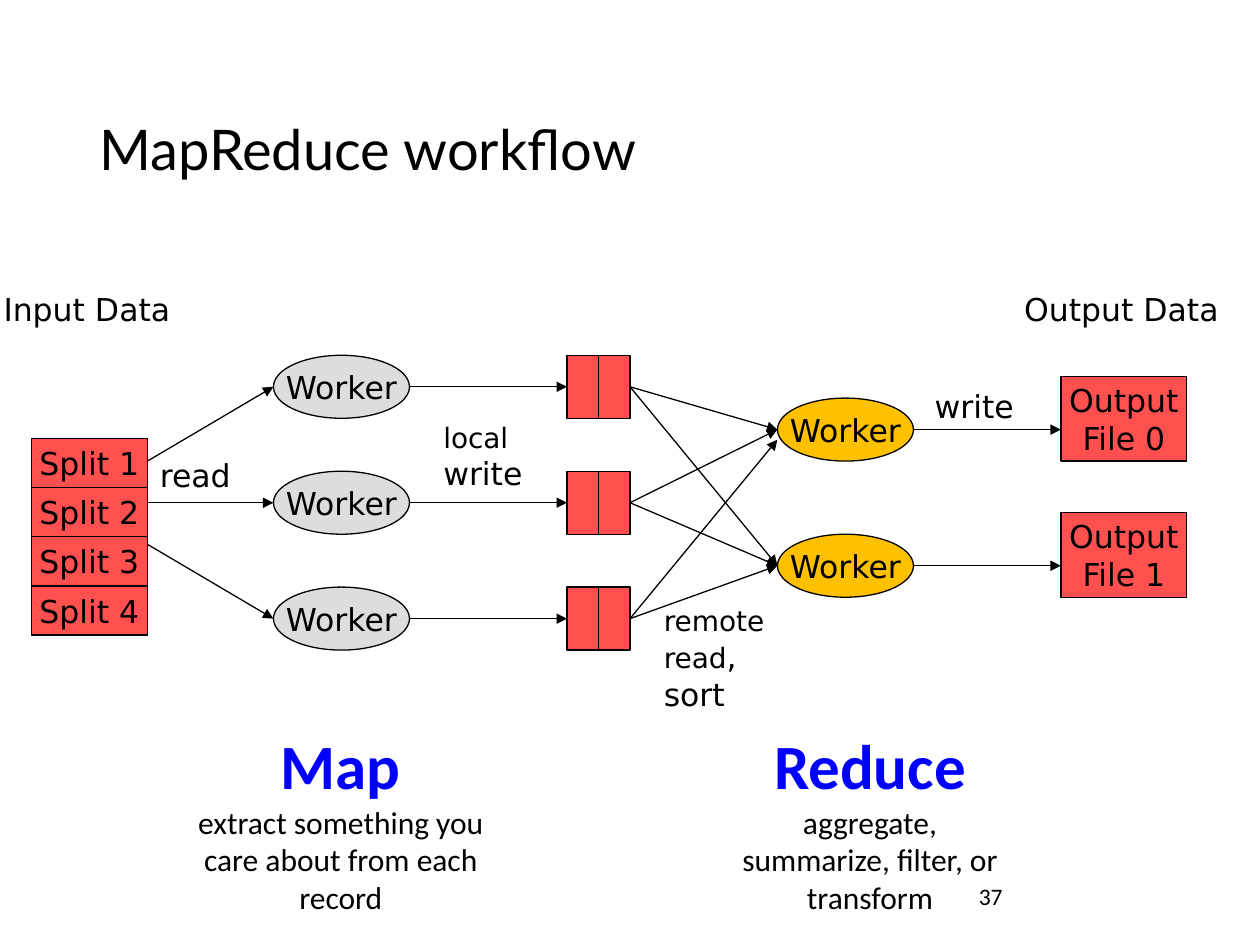
from lxml import etree
from pptx import Presentation
from pptx.dml.color import RGBColor
from pptx.enum.shapes import MSO_CONNECTOR, MSO_SHAPE
from pptx.enum.text import MSO_ANCHOR, PP_ALIGN
from pptx.oxml.ns import qn
from pptx.util import Inches, Pt

BLACK = RGBColor(0, 0, 0)
BLUE = RGBColor(0, 0, 255)
RED = RGBColor(255, 80, 80)
GRAY = RGBColor(221, 221, 221)
GOLD = RGBColor(255, 192, 0)
OVAL, RECT = MSO_SHAPE.OVAL, MSO_SHAPE.RECTANGLE
LINE = MSO_CONNECTOR.STRAIGHT
LEFT, CENTER = PP_ALIGN.LEFT, PP_ALIGN.CENTER
TOP, MIDDLE, BOTTOM = MSO_ANCHOR.TOP, MSO_ANCHOR.MIDDLE, MSO_ANCHOR.BOTTOM

PLAIN = {"name": "DejaVu Sans", "size": Pt(18), "bold": False}
SMALL = {**PLAIN, "size": Pt(16)}
TITLE = {**PLAIN, "name": "Lato", "size": Pt(32)}
BODY = {**PLAIN, "name": "Calibri"}
HEAD = {**BODY, "size": Pt(36), "bold": True}
GAP = {**BODY, "size": Pt(24)}
PAGE = {**BODY, "size": Pt(13.5)}

MAP_ROWS = [3.07, 3.99, 4.91]
OUT_ROWS = [3.41, 4.49]
MAP_X, FILE_X, RED_X, OUT_X = 2.17, 4.5, 6.17, 8.42
OVAL_W, OVAL_H, HALF_W = 1.08, 0.5, 0.25
SPLIT_X, SPLIT_W, SPLIT_H = 0.25, 0.92, 0.39
OUT_W, OUT_H = 1, 0.67


def write(frame, paras, align=LEFT, anchor=TOP, wrap=False):
    """Fill a text frame with paragraphs, each a list of (text, format, color)."""
    frame.word_wrap = wrap
    frame.vertical_anchor = anchor
    for i, runs in enumerate(paras):
        para = frame.paragraphs[0] if i == 0 else frame.add_paragraph()
        para.alignment = align
        for text, style, color in runs:
            run = para.add_run()
            run.text = text
            for key, value in style.items():
                setattr(run.font, key, value)
            run.font.color.rgb = color


def label(slide, box, paras, **place):
    """Add a text box and return its frame."""
    frame = slide.shapes.add_textbox(*map(Inches, box)).text_frame
    write(frame, paras, **place)
    return frame


def node(slide, kind, box, fill, *lines):
    """Add an outlined shape with centred lines of text."""
    shape = slide.shapes.add_shape(kind, *map(Inches, box))
    shape.shadow.inherit = False
    shape.fill.solid()
    shape.fill.fore_color.rgb = fill
    shape.line.color.rgb = BLACK
    shape.line.width = Pt(0.75)
    paras = [[(text, PLAIN, BLACK)] for text in lines]
    write(shape.text_frame, paras, CENTER, MIDDLE)


def arrow(slide, *ends):
    """Add a thin black arrow from one point to another."""
    link = slide.shapes.add_connector(LINE, *map(Inches, ends))
    link.line.color.rgb = BLACK
    link.line.width = Pt(0.75)
    etree.SubElement(link.line._get_or_add_ln(), qn("a:tailEnd"), type="triangle")
    etree.SubElement(link._element.spPr, qn("a:effectLst"))


def worker(slide, left, mid, fill):
    """Add a worker oval centred on a row."""
    node(slide, OVAL, (left, mid - OVAL_H / 2, OVAL_W, OVAL_H), fill, "Worker")


def draw_map(slide):
    """Draw the splits, the map workers and their local files."""
    for i in range(4):
        box = (SPLIT_X, 3.48 + i * SPLIT_H, SPLIT_W, SPLIT_H)
        node(slide, RECT, box, RED, f"Split {i + 1}")
    for i, mid in enumerate(MAP_ROWS):
        worker(slide, MAP_X, mid, GRAY)
        arrow(slide, SPLIT_X + SPLIT_W, 3.66 + 0.33 * i, MAP_X, mid)
        for left in (FILE_X, FILE_X + HALF_W):
            node(slide, RECT, (left, mid - OVAL_H / 2, HALF_W, OVAL_H), RED)
        arrow(slide, MAP_X + OVAL_W, mid, FILE_X, mid)


def draw_reduce(slide):
    """Draw the reduce workers, the crossing reads and the output files."""
    for i, mid in enumerate(OUT_ROWS):
        worker(slide, RED_X, mid, GOLD)
        box = (OUT_X, mid - 0.42, OUT_W, OUT_H)
        node(slide, RECT, box, RED, "Output", f"File {i}")
        arrow(slide, RED_X + OVAL_W, mid, OUT_X, mid)
    for start in MAP_ROWS:
        for end in OUT_ROWS:
            steep = start == MAP_ROWS[-1] and end == OUT_ROWS[0]
            arrow(slide, FILE_X + 2 * HALF_W, start, RED_X, end + 0.08 * steep)


def draw_text(slide):
    """Add the title, step labels, captions and page number."""
    title = [[("MapReduce workflow", TITLE, BLACK)]]
    frame = label(slide, (0.69, 0.4, 8.62, 1.1), title, anchor=BOTTOM, wrap=True)
    frame.paragraphs[0].line_spacing = 0.9
    for text, box in (
        ("Input Data", (-0.07, 2.25, 1.56, 0.4)),
        ("Output Data", (8.03, 2.25, 1.76, 0.4)),
        ("read", (1.17, 3.57, 0.76, 0.4)),
        ("write", (7.32, 3.02, 0.83, 0.4)),
    ):
        label(slide, box, [[(text, PLAIN, BLACK)]])
    local = [[("local", SMALL, BLACK)], [("write", PLAIN, BLACK)]]
    label(slide, (3.42, 3.29, 0.84, 0.67), local)
    remote = [
        [("remote", SMALL, BLACK)],
        [("read", SMALL, BLACK), (",", PLAIN, BLACK)],
        [("sort", PLAIN, BLACK)],
    ]
    label(slide, (5.17, 4.74, 1.01, 0.98), remote)
    extract = "extract something you care about from each record"
    mapping = [[("Map", HEAD, BLUE)], [(extract, BODY, BLACK)]]
    label(slide, (1.37, 5.72, 2.67, 1.62), mapping, align=CENTER, wrap=True)
    total = "aggregate, summarize, filter, or transform"
    reduce = [[("Reduce", HEAD, BLUE), (" ", GAP, BLACK), (total, BODY, BLACK)]]
    label(slide, (5.72, 5.72, 2.37, 1.62), reduce, align=CENTER, wrap=True)
    label(slide, (7.67, 6.95, 2.33, 0.4), [[("37", PAGE, BLACK)]], wrap=True)


def main():
    """Build the workflow slide and save it."""
    deck = Presentation()
    deck.slide_width, deck.slide_height = Inches(10), Inches(7.5)
    slide = deck.slides.add_slide(deck.slide_layouts[6])
    draw_map(slide)
    draw_reduce(slide)
    draw_text(slide)
    deck.save("out.pptx")


if __name__ == "__main__":
    main()
